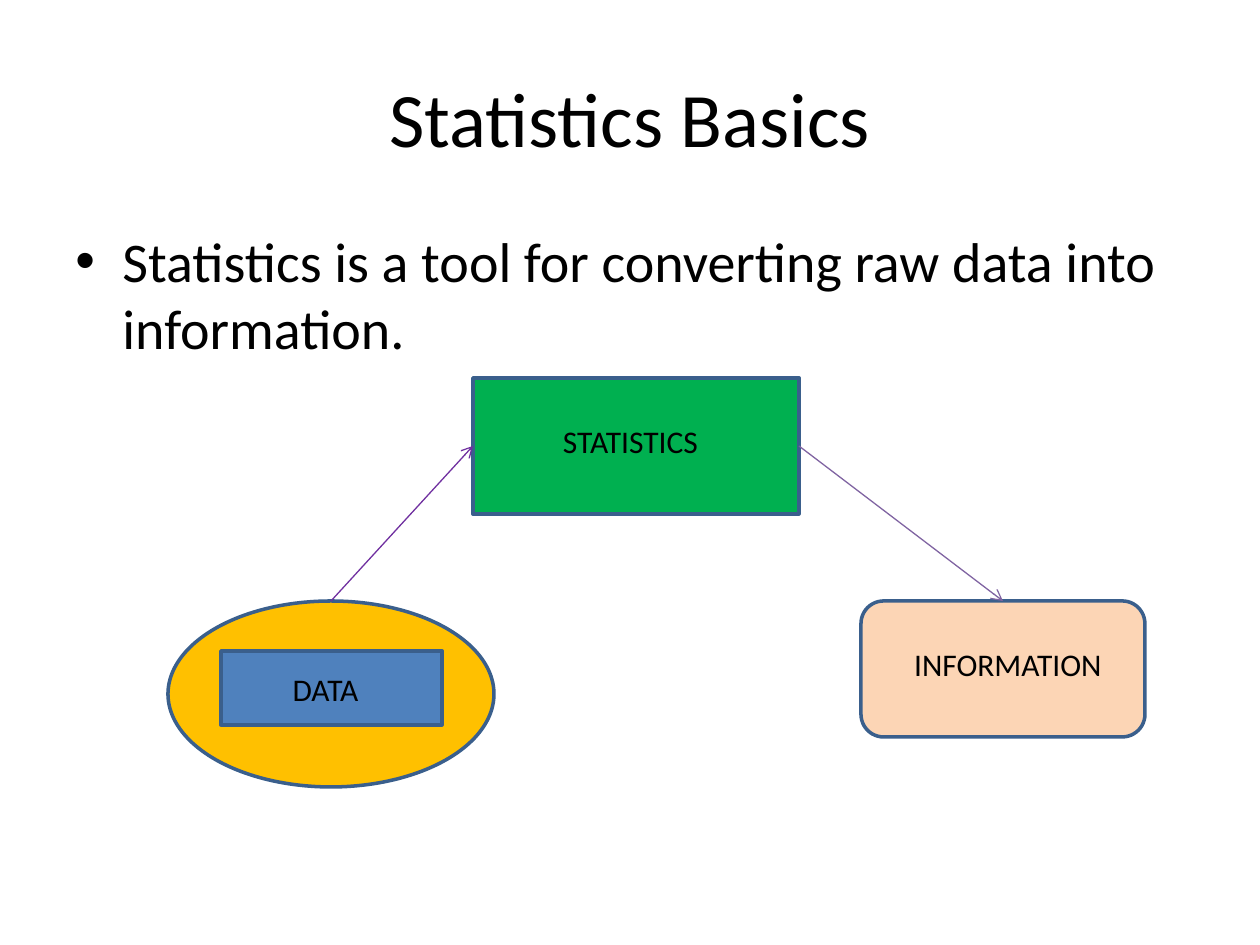
from pptx import Presentation
from pptx.dml.color import RGBColor
from pptx.enum.shapes import MSO_CONNECTOR, MSO_SHAPE
from pptx.enum.text import MSO_ANCHOR, PP_ALIGN
from pptx.oxml.ns import qn
from pptx.util import Pt
from lxml import etree

PX = 914400 // 126
BLACK = RGBColor(0, 0, 0)
EDGE = RGBColor(0x3A, 0x5F, 0x8C)
GOLD = RGBColor(0xFF, 0xC0, 0x00)
BLUE = RGBColor(0x4F, 0x81, 0xBD)
GREEN = RGBColor(0x00, 0xB0, 0x50)
PEACH = RGBColor(0xFC, 0xD5, 0xB5)
VIOLET = RGBColor(0x70, 0x30, 0xA0)
MAUVE = RGBColor(0x80, 0x64, 0xA2)
OVAL, RECT, ROUND = MSO_SHAPE.OVAL, MSO_SHAPE.RECTANGLE, MSO_SHAPE.ROUNDED_RECTANGLE
STRAIGHT = MSO_CONNECTOR.STRAIGHT
TOP, MIDDLE = MSO_ANCHOR.TOP, MSO_ANCHOR.MIDDLE
LEFT, CENTER = PP_ALIGN.LEFT, PP_ALIGN.CENTER
# Connection sites
NORTH, WEST, EAST = 0, 1, 3


def place(box, part):
    """Turn a part's place within a box into EMU."""
    x, y, w, h = part
    return [n * PX for n in (box[0] + x, box[1] + y, w, h)]


def write(shapes, spot, text, size, align=CENTER, anchor=TOP):
    frame = shapes.add_textbox(*spot).text_frame
    frame.word_wrap = True
    frame.vertical_anchor = anchor
    para = frame.paragraphs[0]
    para.text = text
    para.alignment = align
    para.font.name = "Calibri"
    para.font.size = Pt(size)
    para.font.color.rgb = BLACK
    return para


def add_title(shapes, box):
    write(shapes, place(box, (0, 0, *box[2:])), "Statistics Basics", 44, anchor=MIDDLE)


def add_body(shapes, box):
    text = "Statistics is a tool for converting raw data into information."
    para = write(shapes, place(box, (0, 0, *box[2:])), text, 32, LEFT)
    para.space_before = Pt(6.4)
    # Hanging bullet
    props = para._p.get_or_add_pPr()
    props.set("marL", str(47 * PX))
    props.set("indent", str(-47 * PX))
    font = etree.SubElement(props, qn("a:buFont"))
    font.set("typeface", "Arial")
    etree.SubElement(props, qn("a:buChar")).set("char", "•")


def add_node(shapes, spot, kind, fill):
    node = shapes.add_shape(kind, *spot)
    node.shadow.inherit = False
    node.fill.solid()
    node.fill.fore_color.rgb = fill
    node.line.color.rgb = EDGE
    node.line.width = Pt(2)
    return node


def add_arrow(shapes, start, site, end, goal, color):
    arrow = shapes.add_connector(STRAIGHT, 0, 0, 0, 0)
    arrow.begin_connect(start, site)
    arrow.end_connect(end, goal)
    arrow.line.color.rgb = color
    arrow.line.width = Pt(0.75)
    tail = etree.SubElement(arrow.line._get_or_add_ln(), qn("a:tailEnd"))
    tail.set("type", "arrow")
    etree.SubElement(arrow._element.spPr, qn("a:effectLst"))


def add_flow(shapes, box):
    # Nodes
    nodes = [
        add_node(shapes, place(box, part), kind, fill)
        for kind, fill, part in (
            (OVAL, GOLD, (0, 223, 326, 186)),
            (RECT, BLUE, (53, 273, 221, 74)),
            (RECT, GREEN, (305, 0, 326, 136)),
            (ROUND, PEACH, (693, 223, 284, 136)),
        )
    ]
    source, _, tool, result = nodes
    # Labels
    for text, part in (
        ("DATA", (63, 286, 189, 60)),
        ("STATISTICS", (326, 38, 273, 60)),
        ("INFORMATION", (714, 261, 252, 60)),
    ):
        write(shapes, place(box, part), text, 18)
    # Arrows
    add_arrow(shapes, source, NORTH, tool, WEST, VIOLET)
    add_arrow(shapes, tool, EAST, result, NORTH, MAUVE)


deck = Presentation()
deck.slide_width, deck.slide_height = 1260 * PX, 945 * PX
shapes = deck.slides.add_slide(deck.slide_layouts[6]).shapes
add_title(shapes, (63, 38, 1134, 157))
add_body(shapes, (63, 220, 1134, 168))
add_flow(shapes, (168, 378, 977, 409))
deck.save("out.pptx")
